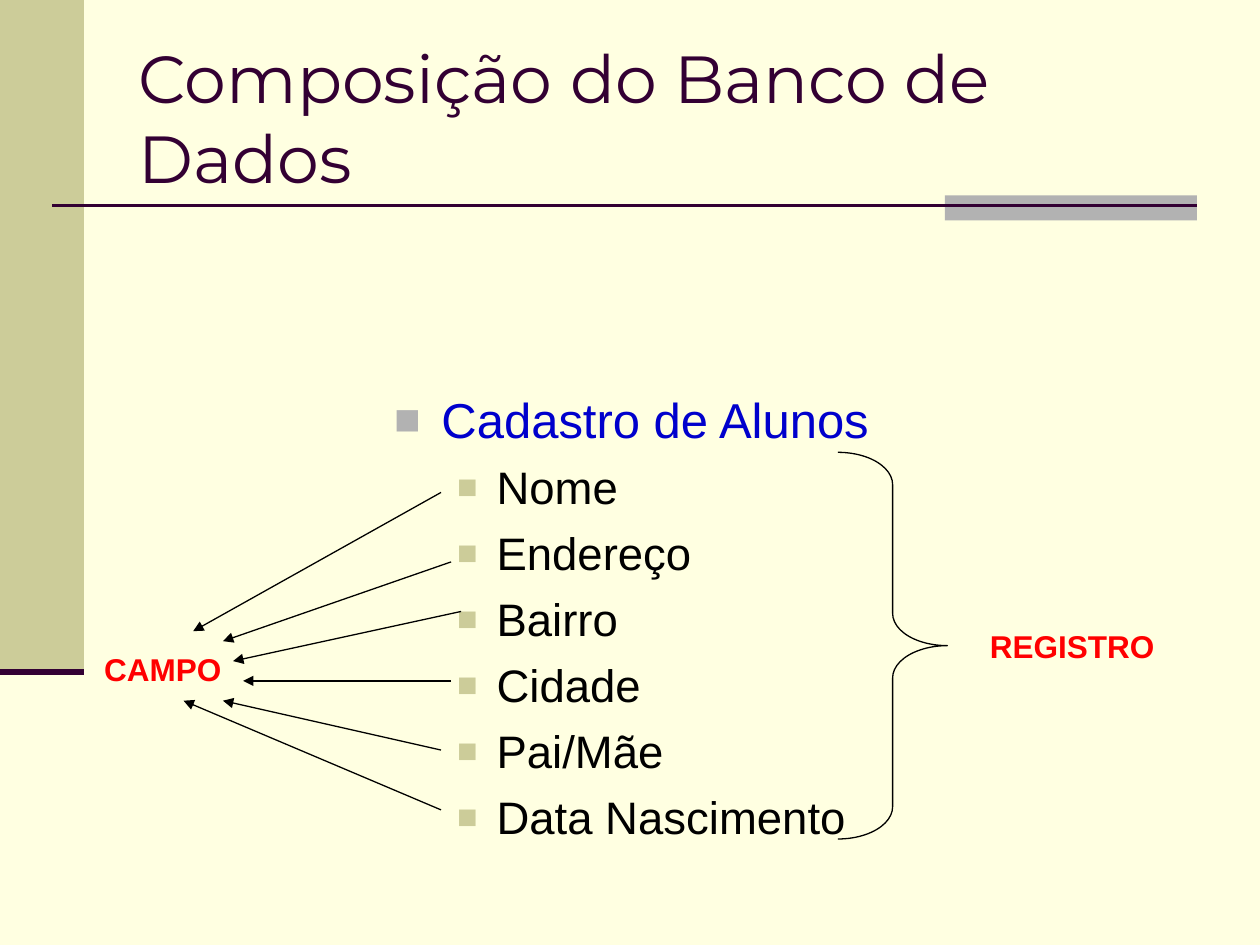
from lxml import etree
from pptx import Presentation
from pptx.dml.color import RGBColor
from pptx.enum.shapes import MSO_CONNECTOR as CONNECTOR, MSO_SHAPE as SHAPE
from pptx.enum.text import MSO_ANCHOR as ANCHOR, MSO_AUTO_SIZE as AUTO_SIZE
from pptx.oxml.ns import qn
from pptx.util import Pt

CREAM = RGBColor(0xFF, 0xFF, 0xE1)
OLIVE = RGBColor(0xCC, 0xCC, 0x99)
GRAY = RGBColor(0xB2, 0xB2, 0xB2)
PLUM = RGBColor(0x33, 0x00, 0x33)
BLUE = RGBColor(0x00, 0x00, 0xCC)
RED = RGBColor(0xFF, 0x00, 0x00)
BLACK = RGBColor(0x00, 0x00, 0x00)

prs = Presentation()
prs.slide_width, prs.slide_height = Pt(720), Pt(540)
slide = prs.slides.add_slide(prs.slide_layouts[6])
slide.background.fill.solid()
slide.background.fill.fore_color.rgb = CREAM
shapes = slide.shapes


def write(paragraph, text, size, color, font="Arial", bold=False, before=0,
          level=0, indent=None, bullet_color=None, bullet_size=100):
    paragraph.level = level
    paragraph.space_before = Pt(before)
    run = paragraph.add_run()
    run.text = text
    run.font.size, run.font.name, run.font.bold = Pt(size), font, bold
    run.font.color.rgb = color
    if bullet_color is not None:
        margin, hanging = indent
        props = paragraph._p.get_or_add_pPr()
        props.set("marL", str(Pt(margin)))
        props.set("indent", str(Pt(-hanging)))
        bullet_fill = etree.SubElement(props, qn("a:buClr"))
        etree.SubElement(bullet_fill, qn("a:srgbClr"), val=str(bullet_color))
        etree.SubElement(props, qn("a:buSzPct"), val=str(bullet_size * 1000))
        etree.SubElement(props, qn("a:buFont"), typeface="Arial")
        etree.SubElement(props, qn("a:buChar"), char="■")


def draw_line(start, end, color, width, arrow=False):
    line = shapes.add_connector(CONNECTOR.STRAIGHT, *map(Pt, start + end))
    line.line.color.rgb = color
    line.line.width = Pt(width)
    if arrow:
        etree.SubElement(line.line._get_or_add_ln(), qn("a:tailEnd"), type="triangle")
    etree.SubElement(line._element.spPr, qn("a:effectLst"))


for left, top, width, height, color in [
    (0, 0, 48, 384, OLIVE),
    (540, 111.6, 144, 14.4, GRAY),
]:
    band = shapes.add_shape(SHAPE.RECTANGLE, Pt(left), Pt(top), Pt(width), Pt(height))
    band.shadow.inherit = False
    band.fill.solid()
    band.fill.fore_color.rgb = color
    band.line.fill.background()

draw_line((30, 117.6), (684, 117.6), PLUM, 1.5)
draw_line((0, 384), (48, 384), PLUM, 3.5)

title = shapes.add_textbox(Pt(72), Pt(21.6), Pt(612), Pt(90)).text_frame
title.word_wrap = True
title.vertical_anchor = ANCHOR.MIDDLE
write(title.paragraphs[0], "Composição do Banco de Dados", 38, PLUM, font="Montserrat")

student_record = shapes.add_textbox(Pt(218.2), Pt(218.9), Pt(305.3), Pt(278)).text_frame
student_record.word_wrap = True
write(student_record.paragraphs[0], "Cadastro de Alunos", 28, BLUE, before=2.8,
      indent=(27, 27), bullet_color=GRAY, bullet_size=90)
for field in ["Nome", "Endereço", "Bairro", "Cidade", "Pai/Mãe", "Data Nascimento"]:
    write(student_record.add_paragraph(), field, 26, BLACK, before=6.5, level=1,
          indent=(58.5, 22.5), bullet_color=OLIVE, bullet_size=75)

for label, left, top, width in [
    ("CAMPO", 52.5, 368, 81.4),
    ("REGISTRO", 558.6, 355, 108.7),
]:
    caption = shapes.add_textbox(Pt(left), Pt(top), Pt(width), Pt(28.8)).text_frame
    caption.word_wrap = False
    caption.auto_size = AUTO_SIZE.SHAPE_TO_FIT_TEXT
    write(caption.paragraphs[0], label, 18, RED, bold=True)

for field_point, label_point in [
    ((252, 281.4), (110.4, 360.7)),
    ((257.8, 321.1), (127.4, 366.4)),
    ((263.5, 349.4), (133.2, 377.8)),
    ((257.8, 389.1), (138.9, 389.1)),
    ((252, 428.6), (127.4, 400.4)),
    ((252, 462.8), (104.9, 400.4)),
]:
    draw_line(field_point, label_point, BLACK, 0.75, arrow=True)

record_brace = shapes.add_shape(SHAPE.RIGHT_BRACE, Pt(478.8), Pt(258.5), Pt(62.6), Pt(221))
record_brace.adjustments[0] = 0.295
record_brace.adjustments[1] = 0.5
record_brace.shadow.inherit = False
record_brace.fill.background()
record_brace.line.color.rgb = BLACK
record_brace.line.width = Pt(0.75)

prs.save("out.pptx")
